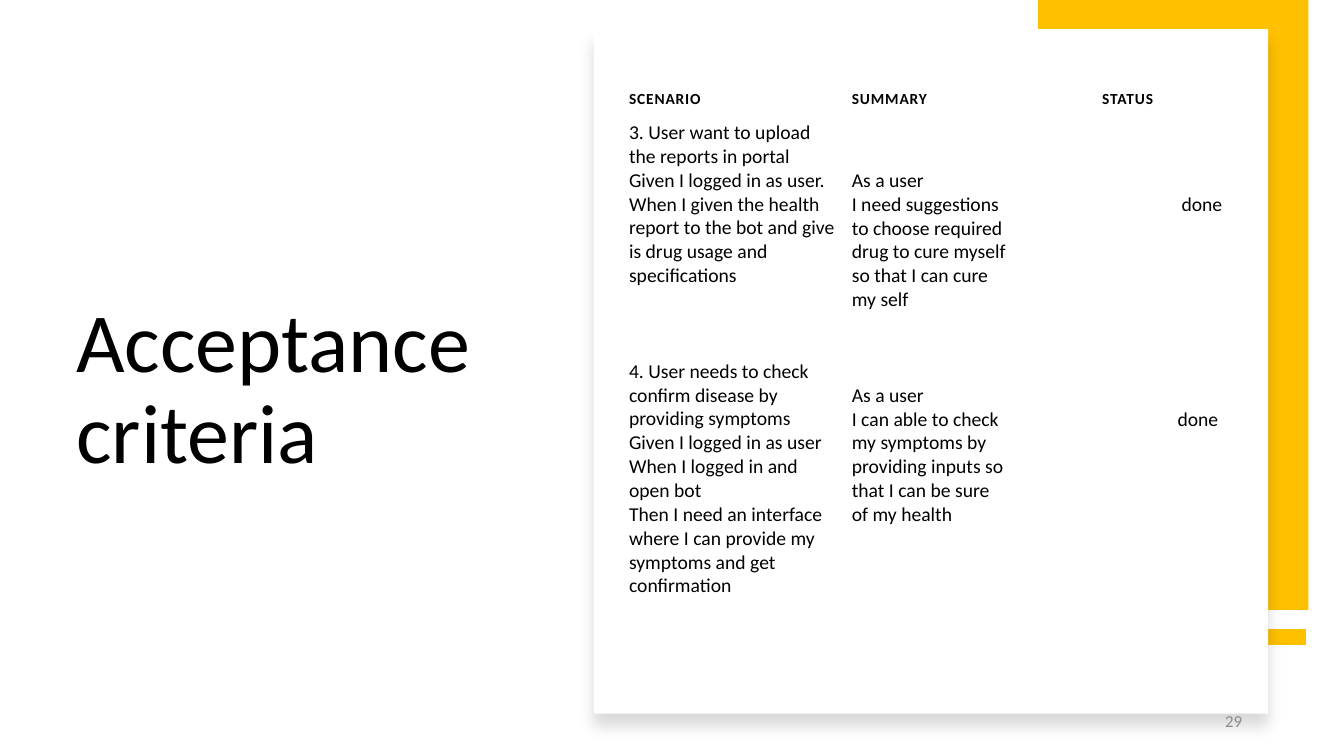
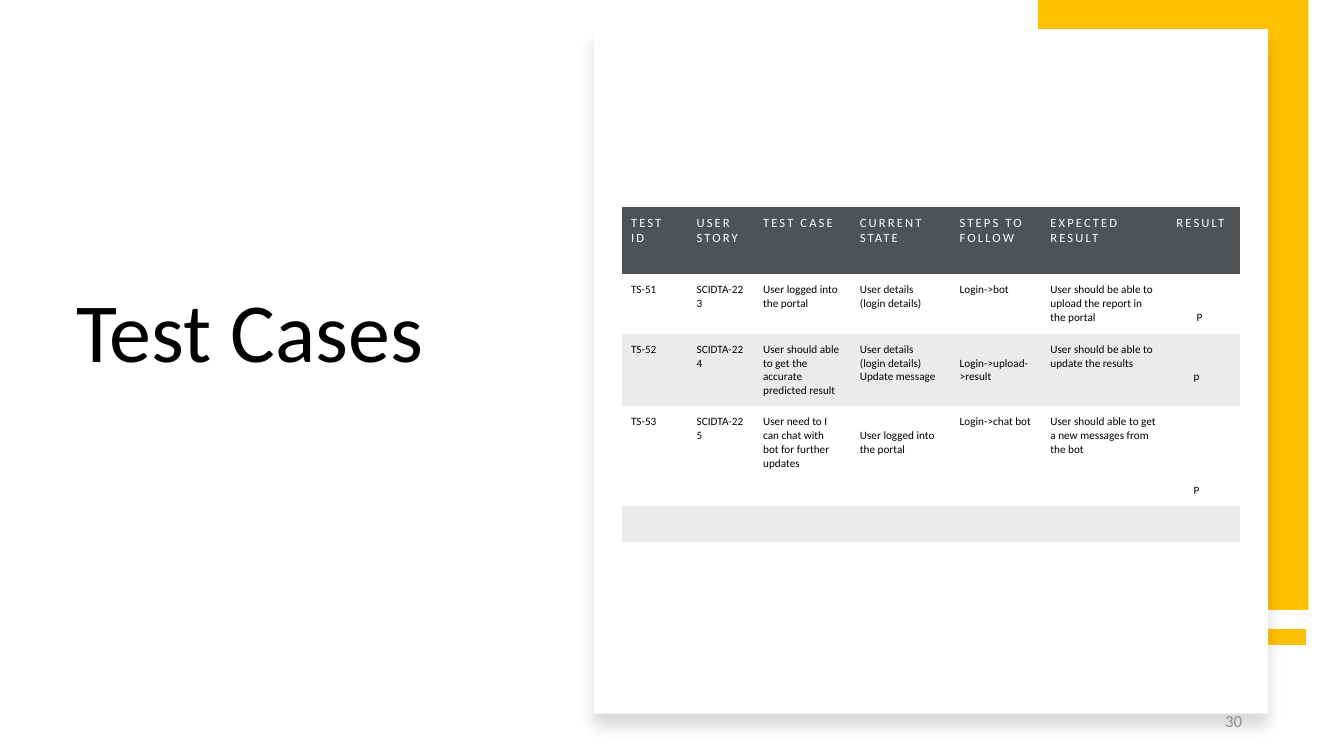
import dataclasses

import pptx
import pptx.dml.color
import pptx.enum.shapes
import pptx.enum.text
import pptx.oxml
import pptx.oxml.ns
import pptx.util

Inches, Pt = pptx.util.Inches, pptx.util.Pt
Align = pptx.enum.text.PP_ALIGN
Anchor = pptx.enum.text.MSO_ANCHOR
Shape = pptx.enum.shapes.MSO_SHAPE
qn = pptx.oxml.ns.qn
NS = pptx.oxml.ns.nsdecls("a")
PLAIN = "{2D5ABB26-0587-4C30-8999-92F81FD0307C}"  # table style without grid


@dataclasses.dataclass(frozen=True)
class Theme:
    font: str = "Calibri"
    ink: str = "000000"
    paper: str = "FFFFFF"
    gold: str = "FFC000"
    slate: str = "505356"
    band: str = "EBEBEB"
    grey: str = "8C8C8C"
    title: int = 60
    body: int = 14
    head: int = 11
    small: int = 8
    label: int = 9
    page: int = 12
    line: float = 1.22  # line height per point of type


@dataclasses.dataclass
class Para:
    text: str
    gap: int = 0  # lines left free above
    indent: float = 0  # inches


@dataclasses.dataclass
class Look:
    size: int
    color: str
    inset: tuple  # left, top, right, bottom in inches
    fill: str = ""
    bold: bool = False
    track: int = 0  # letter spacing, hundredths of a point
    anchor: object = Anchor.TOP


class Deck:
    """Holds the theme and the current slide; lengths are percent of the slide."""

    def __init__(self, theme):
        self.theme = theme
        self.prs = pptx.Presentation()
        self.prs.slide_width, self.prs.slide_height = Inches(13.33), Inches(7.5)
        self.slide = None

    def x(self, share):
        return round(self.prs.slide_width * share / 100)

    def y(self, share):
        return round(self.prs.slide_height * share / 100)

    def area(self, left, top, width, height):
        return self.x(left), self.y(top), self.x(width), self.y(height)

    def rgb(self, code):
        return pptx.dml.color.RGBColor.from_string(code)

    def style(self, para, size, color, bold=False, track=0):
        font = para.font
        font.name, font.size, font.bold = self.theme.font, Pt(size), bold
        font.color.rgb = self.rgb(color)
        if track:
            para._p.pPr.find(qn("a:defRPr")).set("spc", str(track))
        if not para.runs:
            end = pptx.oxml.parse_xml(f'<a:endParaRPr {NS} sz="{size * 100}"/>')
            para._p.append(end)

    def text(self, area, words, size, color, anchor, align=Align.LEFT, space=None):
        frame = self.slide.shapes.add_textbox(*self.area(*area)).text_frame
        frame.word_wrap = True
        frame.vertical_anchor = anchor
        para = frame.paragraphs[0]
        para.text, para.alignment, para.line_spacing = words, align, space
        self.style(para, size, color)

    def rect(self, area, color):
        box = self.slide.shapes.add_shape(Shape.RECTANGLE, *self.area(*area))
        box.shadow.inherit = False
        box.fill.solid()
        box.fill.fore_color.rgb = self.rgb(color)
        box.line.fill.background()
        return box

    def rule(self, left, right, top, color, width):
        line = self.slide.shapes.add_connector(
            pptx.enum.shapes.MSO_CONNECTOR.STRAIGHT,
            self.x(right), self.y(top), self.x(left), self.y(top))
        line.line.color.rgb = self.rgb(color)
        line.line.width = Pt(width)
        line._element.spPr.append(pptx.oxml.parse_xml(f"<a:effectLst {NS}/>"))

    def shade(self, box):
        effects = box._element.spPr.find(qn("a:effectLst"))
        effects.append(pptx.oxml.parse_xml(
            f'<a:outerShdw {NS} blurRad="{Pt(11)}" dist="{Pt(10)}" dir="5400000" '
            f'algn="t" rotWithShape="0"><a:srgbClr val="{self.theme.ink}">'
            '<a:alpha val="15000"/></a:srgbClr></a:outerShdw>'))

    def page(self, title, number, lift=0):
        """Start a slide with title, gold band, white card and page number."""
        t = self.theme
        self.slide = self.prs.slides.add_slide(self.prs.slide_layouts[6])
        self.text((4.95, 9.87, 34.2, 54.53 - lift), title, t.title, t.ink,
                  Anchor.BOTTOM, space=0.9)
        self.rule(77.25, 97.2, 84.27, t.gold, 12)
        self.rect((77.25, 0, 20.1, 80.67), t.gold)
        self.shade(self.rect((44.18, 3.87, 50.18, 90.53), t.paper))
        self.text((70.66, 92.67, 22.5, 5.33), number, t.page, t.grey,
                  Anchor.MIDDLE, Align.RIGHT)

    def cell(self, cell, paras, look, align):
        line = look.size * self.theme.line
        left, top, right, bottom = look.inset
        lead = paras[0].gap * line / 72
        cell.margin_left, cell.margin_right = Inches(left), Inches(right)
        cell.margin_top, cell.margin_bottom = Inches(top + lead), Inches(bottom)
        cell.vertical_anchor = look.anchor
        if look.fill:
            cell.fill.solid()
            cell.fill.fore_color.rgb = self.rgb(look.fill)
        else:
            cell.fill.background()
        frame = cell.text_frame
        for i, item in enumerate(paras):
            para = frame.add_paragraph() if i else frame.paragraphs[0]
            if item.text:
                para.text = item.text
            para.alignment = align
            if i and item.gap:
                para.space_before = Pt(round(item.gap * line, 1))
            if item.indent:
                para._p.get_or_add_pPr().set("marL", str(Inches(item.indent)))
            self.style(para, look.size, look.color, look.bold, look.track)

    def table(self, left, top, cols, rows, data, looks, center=()):
        """Draw a table; center lists the (row, column) cells set in the middle."""
        shape = self.slide.shapes.add_table(
            len(rows), len(cols), *self.area(left, top, sum(cols), sum(rows)))
        table = shape.table
        table.first_row = table.horz_banding = False
        table._tbl.tblPr.find(qn("a:tableStyleId")).text = PLAIN
        for col, share in zip(table.columns, cols):
            col.width = self.x(share)
        for row, share in zip(table.rows, rows):
            row.height = self.y(share)
        for r, (line, look) in enumerate(zip(data, looks)):
            for c, item in enumerate(line):
                paras = [Para(item)] if isinstance(item, str) else item
                align = Align.CENTER if (r, c) in center else Align.LEFT
                self.cell(table.cell(r, c), paras, look, align)


def accept(deck):
    t = deck.theme
    deck.page("Acceptance criteria", "29")
    head = Look(t.head, t.ink, (0.07, 0.09, 0.07, 0.09), bold=True, track=60,
                anchor=Anchor.BOTTOM)
    body = Look(t.body, t.ink, (0.07, 0.03, 0.07, 0.09))
    scene = [
        Para("3. User want to upload the reports in portal"),
        Para("Given I logged in as user."),
        Para("When I given the health report to the bot and give is drug usage "
             "and specifications"),
        Para("4. User needs to check confirm disease by providing symptoms", 3),
        Para("Given I logged in as user"),
        Para("When I logged in and open bot"),
        Para("Then I need an interface where I can provide my symptoms and get "
             "confirmation"),
    ]
    brief = [
        Para("As a user", 2),
        Para("I need suggestions to choose required drug to cure myself so that "
             "I can cure my self"),
        Para("As a user", 3),
        Para("I can able to check my symptoms by providing inputs so that I can "
             "be sure of my health"),
    ]
    state = [Para("done", 3, 1.58), Para("done", 8, 1.54)]
    deck.table(46.28, 10.27, (16.58, 12.68, 16.73), (5.33, 72.53),
               [("SCENARIO", "SUMMARY", "STATUS"), (scene, brief, state)],
               (head, body), center={(0, 2)})


def cases(deck):
    t = deck.theme
    deck.page("Test Cases", "30", lift=13.33)
    inset = (0.09,) * 4
    head = Look(t.label, t.paper, inset, t.slate, track=150)
    plain = Look(t.small, t.ink, inset)
    band = dataclasses.replace(plain, fill=t.band)
    data = [
        ("TEST ID", "USER STORY", "TEST CASE", "CURRENT STATE", "STEPS TO FOLLOW",
         "EXPECTED RESULT", "RESULT"),
        ("TS-51", "SCIDTA-223", "User logged into the portal",
         "User details (login details)", "Login->bot",
         "User should be able to upload the report in the portal",
         [Para("P", 2, 0.2)]),
        ("TS-52", "SCIDTA-224",
         "User should able to get the accurate predicted result",
         [Para("User details (login details)"), Para("Update message")],
         [Para("Login->upload->result", 1)],
         "User should be able to update the results", [Para("p", 2, 0.17)]),
        ("TS-53", "SCIDTA-225",
         "User need to I can chat with bot for further updates",
         [Para("User logged into the portal", 1)], "Login->chat bot",
         "User should able to get a new messages from the bot",
         [Para("P", 5, 0.17)]),
        ("",) * 7,
    ]
    deck.table(46.28, 27.33, (4.88, 4.95, 7.2, 7.43, 6.75, 9.38, 5.4),
               (8.93, 7.87, 9.6, 13.27, 4.67), data,
               (head, plain, band, plain, band))


def main():
    deck = Deck(Theme())
    accept(deck)
    cases(deck)
    deck.prs.save("out.pptx")


if __name__ == "__main__":
    main()
